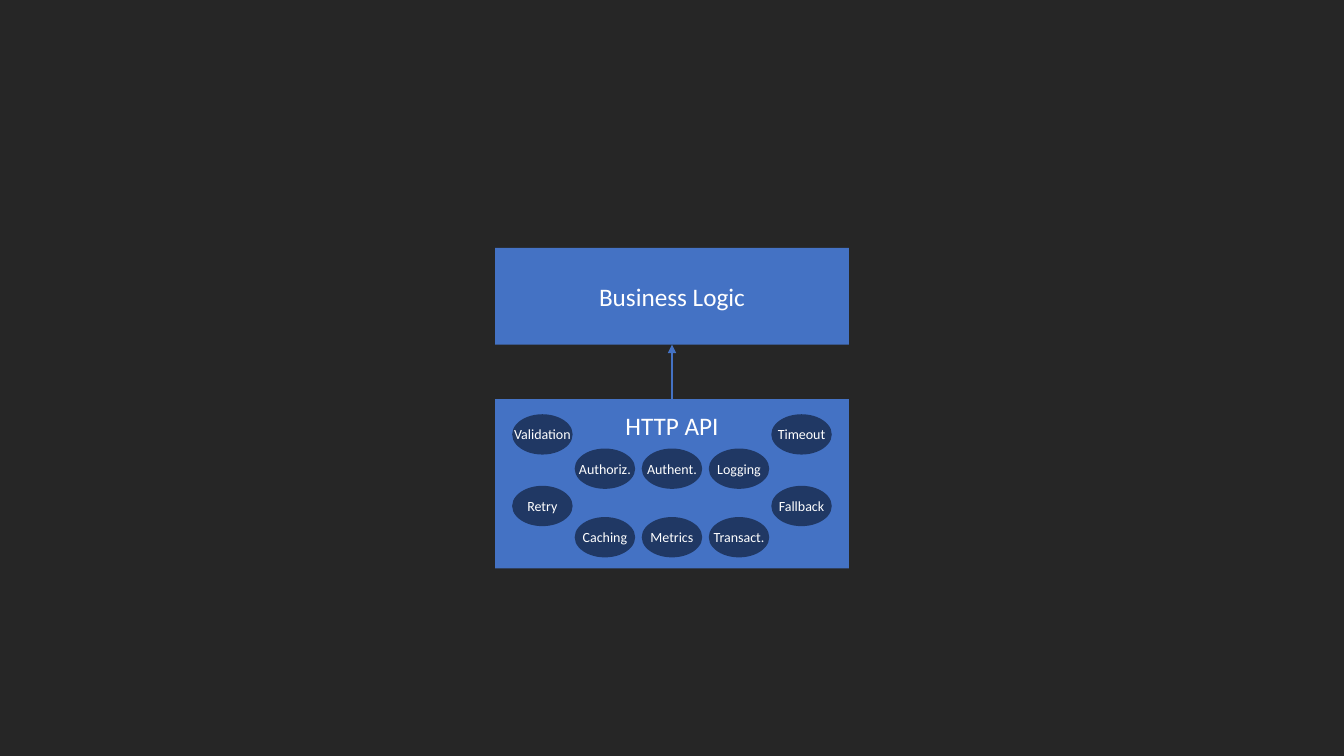
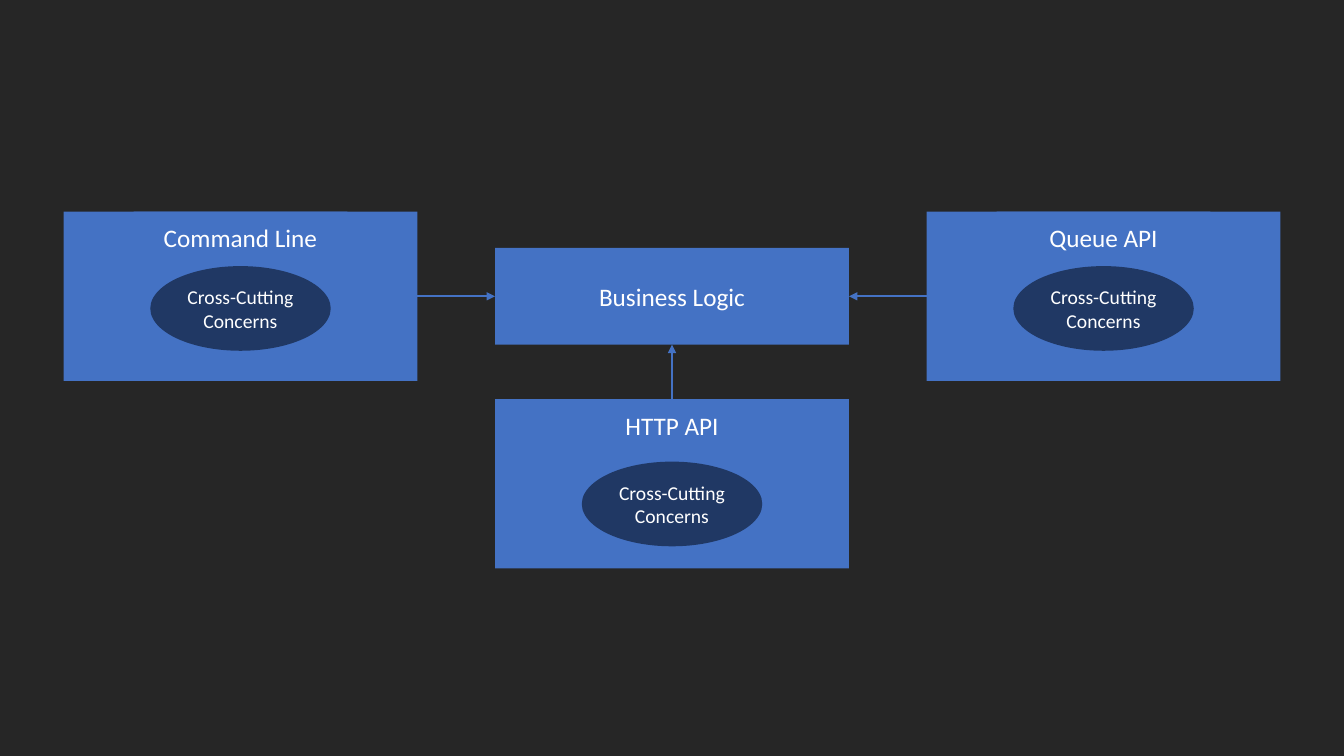
from lxml import etree
from pptx import Presentation
from pptx.dml.color import RGBColor
from pptx.enum.shapes import MSO_CONNECTOR, MSO_SHAPE
from pptx.enum.text import MSO_ANCHOR, PP_ALIGN
from pptx.oxml.ns import qn
from pptx.util import Inches, Pt

RECTANGLE, OVAL = MSO_SHAPE.RECTANGLE, MSO_SHAPE.OVAL
STRAIGHT = MSO_CONNECTOR.STRAIGHT
MIDDLE, CENTER = MSO_ANCHOR.MIDDLE, PP_ALIGN.CENTER

COLORS = {"background": "262626", "box": "4472C4", "concern": "203864", "text": "FFFFFF"}
FONT = "Calibri"

# Shared layout, in inches
BOX_W, PANEL_H, LOGIC_H = 3.51, 1.68, 0.96
HEADING_W, HEADING_H = 2.12, 0.52
CENTER_X, LOGIC_Y, HTTP_Y = 4.91, 2.46, 3.96
SIDE_STEP = 4.28
SIDE_Y = LOGIC_Y + (LOGIC_H - PANEL_H) / 2
SMALL_W, SMALL_H = 0.6, 0.4
LARGE_W, LARGE_H = 1.79, 0.84

# Connection sites of a rectangle
TOP, LEFT, BOTTOM, RIGHT = range(4)


def rgb(name):
    return RGBColor.from_string(COLORS[name])


def add_block(slide, kind, x, y, w, h, color, text="", size=18, wrap=True):
    block = slide.shapes.add_shape(kind, Inches(x), Inches(y), Inches(w), Inches(h))
    block.shadow.inherit = False
    block.fill.solid()
    block.fill.fore_color.rgb = rgb(color)
    block.line.fill.background()
    if text:
        frame = block.text_frame
        frame.word_wrap = wrap
        frame.vertical_anchor = MIDDLE
        paragraph = frame.paragraphs[0]
        paragraph.text = text
        paragraph.alignment = CENTER
        for run in paragraph.runs:
            run.font.name = FONT
            run.font.size = Pt(size)
            run.font.color.rgb = rgb("text")
    return block


def add_panel(slide, x, y, heading):
    panel = add_block(slide, RECTANGLE, x, y, BOX_W, PANEL_H, "box")
    add_block(slide, RECTANGLE, x + (BOX_W - HEADING_W) / 2, y,
              HEADING_W, HEADING_H, "box", heading)
    return panel


def add_small_concern(slide, x, y, text):
    add_block(slide, OVAL, x, y, SMALL_W, SMALL_H, "concern", text, 10, wrap=False)


def add_cross_cutting(slide, panel_x, y):
    add_block(slide, OVAL, panel_x + (BOX_W - LARGE_W) / 2, y, LARGE_W, LARGE_H,
              "concern", "Cross-Cutting\nConcerns", 14, wrap=False)


def add_arrow(slide, source, source_site, target, target_site):
    arrow = slide.shapes.add_connector(STRAIGHT, 0, 0, 0, 0)
    arrow.begin_connect(source, source_site)
    arrow.end_connect(target, target_site)
    arrow.line.color.rgb = rgb("box")
    arrow.line.width = Pt(1.5)
    etree.SubElement(arrow.line._get_or_add_ln(), qn("a:tailEnd"), type="triangle")
    etree.SubElement(arrow._element.spPr, qn("a:effectLst"))


def add_core(prs):
    """Start a slide with the business logic and the HTTP API below it."""
    slide = prs.slides.add_slide(prs.slide_layouts[6])
    logic = add_block(slide, RECTANGLE, CENTER_X, LOGIC_Y, BOX_W, LOGIC_H,
                      "box", "Business Logic")
    http = add_panel(slide, CENTER_X, HTTP_Y, "HTTP API")
    add_arrow(slide, http, TOP, logic, BOTTOM)
    return slide, logic


def build_single_api(prs):
    slide, _ = add_core(prs)
    # Inner rows of three concerns
    inner_rows = [(4.45, ("Authoriz.", "Authent.", "Logging")),
                  (5.13, ("Caching", "Metrics", "Transact."))]
    for y, names in inner_rows:
        for column, name in enumerate(names):
            add_small_concern(slide, 5.7 + column * 0.665, y, name)
    # Outer pairs at the panel sides
    outer_rows = [(4.11, ("Validation", "Timeout")), (4.82, ("Retry", "Fallback"))]
    for y, names in outer_rows:
        for x, name in zip((5.08, 7.65), names):
            add_small_concern(slide, x, y, name)


def build_three_entries(prs):
    slide, logic = add_core(prs)
    add_cross_cutting(slide, CENTER_X, HTTP_Y + 0.62)
    # Entry points left and right of the business logic
    sides = [("Command Line", -1, RIGHT, LEFT), ("Queue API", 1, LEFT, RIGHT)]
    for heading, direction, panel_site, logic_site in sides:
        x = CENTER_X + direction * SIDE_STEP
        panel = add_panel(slide, x, SIDE_Y, heading)
        add_cross_cutting(slide, x, SIDE_Y + 0.54)
        add_arrow(slide, panel, panel_site, logic, logic_site)


def main():
    prs = Presentation()
    prs.slide_width, prs.slide_height = Inches(13.33), Inches(7.5)
    # Shared background
    backdrop = prs.slide_master.background.fill
    backdrop.solid()
    backdrop.fore_color.rgb = rgb("background")
    build_single_api(prs)
    build_three_entries(prs)
    prs.save("out.pptx")


if __name__ == "__main__":
    main()
